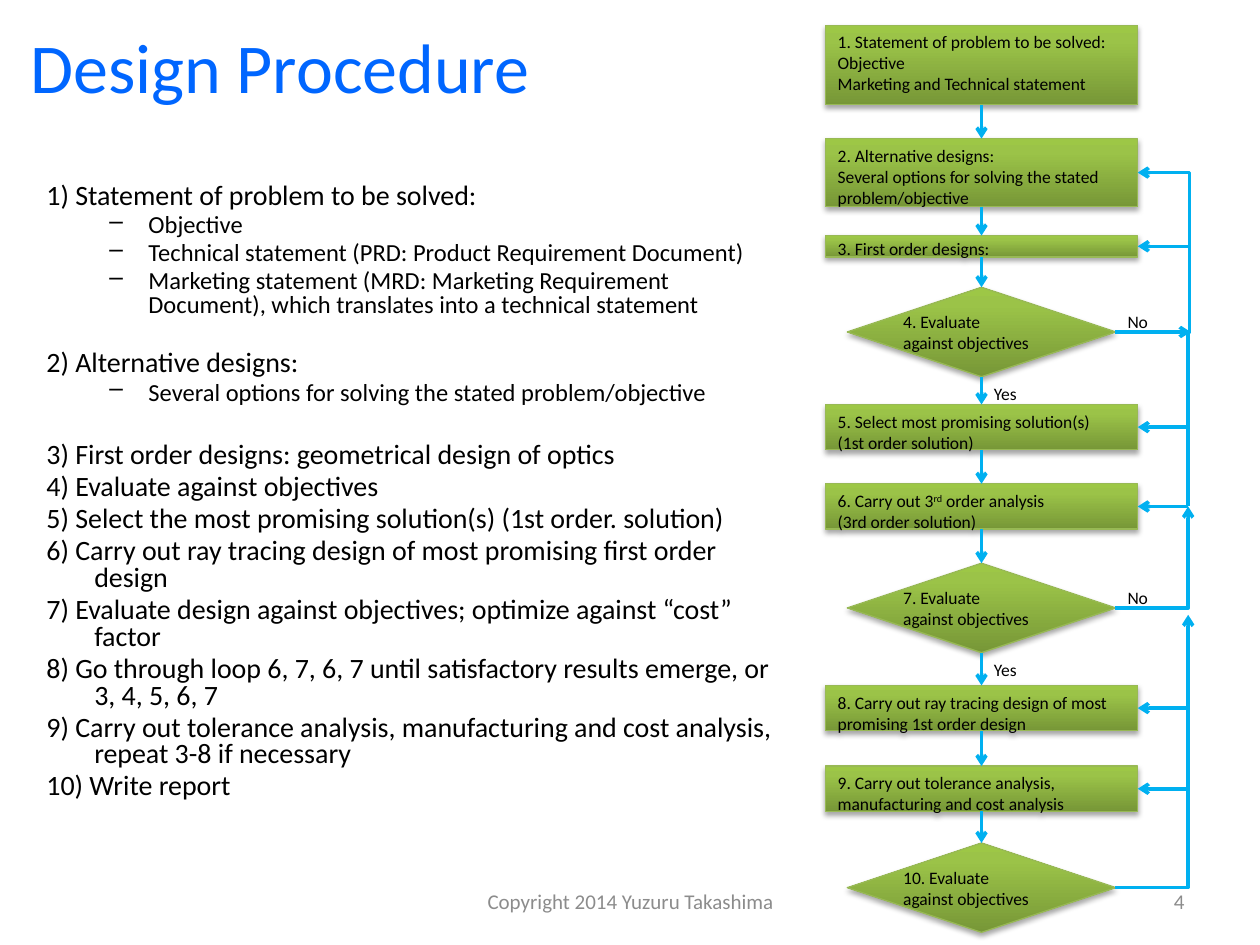
"""Build the Design Procedure slide: a numbered list beside its flowchart."""
from copy import deepcopy
from dataclasses import dataclass
from itertools import pairwise

from lxml.etree import SubElement
from pptx import Presentation
from pptx.dml.color import RGBColor
from pptx.enum.shapes import MSO_CONNECTOR, MSO_SHAPE
from pptx.enum.text import MSO_ANCHOR, PP_ALIGN
from pptx.oxml.ns import qn
from pptx.util import Inches, Pt

CENTER, BOX_W, DIAMOND_W = 7.79, 2.48, 2.13
BOX_RIGHT, DIAMOND_RIGHT, RAIL = 9.03, 8.85, 9.43
GRADIENT = ((0, "779737"), (0.8, "9BC348"), (1, "9DC746"))


@dataclass(frozen=True)
class Step:
    """One flowchart step, centred on the spine."""
    top: float
    height: float
    text: str
    shape: MSO_SHAPE = MSO_SHAPE.RECTANGLE
    spacing: float = 1.0

    @property
    def is_decision(self) -> bool:
        return self.shape == MSO_SHAPE.FLOWCHART_DECISION

    @property
    def middle(self) -> float:
        return self.top + self.height / 2

    @property
    def bottom(self) -> float:
        return self.top + self.height


@dataclass(frozen=True)
class Item:
    """One paragraph of the list."""
    text: str
    level: int = 0
    before: float = 2.9


PROCESS, DECISION = MSO_SHAPE.FLOWCHART_PROCESS, MSO_SHAPE.FLOWCHART_DECISION
STEPS = [
    Step(0.2, 0.63, "1. Statement of problem to be solved:\nObjective\nMarketing and Technical statement", PROCESS),
    Step(1.1, 0.54, "2. Alternative designs:\nSeveral options for solving the stated problem/objective", PROCESS),
    Step(1.87, 0.17, "3. First order designs:", PROCESS, 0.8),
    Step(2.28, 0.71, "4. Evaluate\nagainst objectives", DECISION),
    Step(3.21, 0.36, "5. Select most promising solution(s)\n(1st order solution)"),
    Step(3.84, 0.36, "6. Carry out 3^rd^ order analysis\n(3rd order solution)"),
    Step(4.47, 0.71, "7. Evaluate\nagainst objectives", DECISION),
    Step(5.44, 0.36, "8. Carry out ray tracing design of most promising 1st order design"),
    Step(6.08, 0.36, "9. Carry out tolerance analysis, manufacturing and cost analysis"),
    Step(6.69, 0.71, "10. Evaluate\nagainst objectives", DECISION),
]
ITEMS = [
    Item("1) Statement of problem to be solved:", before=0),
    Item("Objective", 1, 2.5),
    Item("Technical statement (PRD: Product Requirement Document)", 1, 2.5),
    Item("Marketing statement (MRD: Marketing Requirement Document), which translates into a technical statement", 1, 2.5),
    Item("2) Alternative designs:", before=19),
    Item("Several options for solving the stated problem/objective", 1, 2.5),
    Item("3) First order designs: geometrical design of optics", before=21.4),
    Item("4) Evaluate against objectives"),
    Item("5) Select the most promising solution(s) (1st order. solution)"),
    Item("6) Carry out ray tracing design of most promising first order design"),
    Item("7) Evaluate design against objectives; optimize against “cost” factor"),
    Item("8) Go through loop 6, 7, 6, 7 until satisfactory results emerge, or 3, 4, 5, 6, 7"),
    Item("9) Carry out tolerance analysis, manufacturing and cost analysis, repeat 3-8 if necessary"),
    Item("10) Write report"),
]


def rgb(value: str) -> RGBColor:
    """Turn a hex string into a colour."""
    return RGBColor.from_string(value)


def write(p, text: str, *, size: float = 10, color: str = "000000", align=PP_ALIGN.LEFT, spacing: float = 1.0):
    """Fill a paragraph, raising the parts between carets."""
    p.alignment, p.line_spacing = align, spacing
    for i, part in enumerate(text.split("^")):
        r = p.add_run()
        r.text = part
        r.font.name, r.font.size, r.font.color.rgb = "Calibri", Pt(size), rgb(color)
        if i % 2:
            r.font._element.set("baseline", "30000")


def fill_frame(tf, text: str, *, anchor=MSO_ANCHOR.TOP, wrap: bool = True, **fmt):
    """Write each line of text as a paragraph of a frame."""
    tf.word_wrap, tf.vertical_anchor = wrap, anchor
    for i, line in enumerate(text.split("\n")):
        write(tf.add_paragraph() if i else tf.paragraphs[0], line, **fmt)


def add_label(s, text: str, left: float, top: float, width: float, height: float, **fmt):
    """Add a text box."""
    sp = s.shapes.add_textbox(Inches(left), Inches(top), Inches(width), Inches(height))
    fill_frame(sp.text_frame, text, **fmt)


def add_step(s, step: Step):
    """Draw a shaded step with its text."""
    width = DIAMOND_W if step.is_decision else BOX_W
    sp = s.shapes.add_shape(step.shape, Inches(CENTER - width / 2), Inches(step.top), Inches(width), Inches(step.height))
    sp.fill.gradient()
    sp.fill.gradient_angle = 90
    sp_pr = sp._element.spPr
    stops = sp_pr.find(qn("a:gradFill")).find(qn("a:gsLst"))
    stops.append(deepcopy(stops[-1]))
    for stop, (position, color) in zip(sp.fill.gradient_stops, GRADIENT):
        stop.position, stop.color.rgb = position, rgb(color)
    sp.line.color.rgb, sp.line.width = rgb("98B955"), Pt(0.75)
    sp.shadow.inherit = False
    shadow = SubElement(sp_pr.find(qn("a:effectLst")), qn("a:outerShdw"), blurRad=str(Pt(3.1)),
                        dist=str(Pt(1.8)), dir="5400000", rotWithShape="0")
    SubElement(SubElement(shadow, qn("a:srgbClr"), val="000000"), qn("a:alpha"), val="35000")
    if step.is_decision:
        add_label(s, step.text, 7.07, step.top + 0.14, 1.43, 0.61)
    else:
        fill_frame(sp.text_frame, step.text, spacing=step.spacing)


def add_line(s, x1: float, y1: float, x2: float, y2: float, *, arrow: bool = True, bend: str = "", adj: int = 0):
    """Draw a straight or bent connector."""
    kind = MSO_CONNECTOR.ELBOW if bend else MSO_CONNECTOR.STRAIGHT
    cx = s.shapes.add_connector(kind, Inches(x1), Inches(y1), Inches(x2), Inches(y2))
    cx.line.color.rgb, cx.line.width = rgb("00B0F0"), Pt(2)
    sp_pr = cx._element.spPr
    if bend:
        geom = sp_pr.find(qn("a:prstGeom"))
        geom.set("prst", bend)
        if adj:
            SubElement(geom.find(qn("a:avLst")), qn("a:gd"), name="adj1", fmla=f"val {adj}")
    if arrow:
        SubElement(sp_pr.find(qn("a:ln")), qn("a:tailEnd"), type="arrow")
    SubElement(sp_pr, qn("a:effectLst"))


def add_list(s):
    """Write the numbered list with its dashed sub-items."""
    tf = s.shapes.add_textbox(Inches(0.27), Inches(1.41), Inches(6.1), Inches(5.46)).text_frame
    tf.word_wrap, tf.margin_right = True, Inches(0.15)
    for i, item in enumerate(ITEMS):
        p = tf.add_paragraph() if i else tf.paragraphs[0]
        margin, indent = ((0.38, -0.38), (0.81, -0.31))[item.level]
        p.level, p.space_before = item.level, Pt(item.before)
        p_pr = p._p.get_or_add_pPr()
        p_pr.set("marL", str(Inches(margin)))
        p_pr.set("indent", str(Inches(indent)))
        if item.level:
            SubElement(p_pr, qn("a:buChar"), char="–")
        write(p, item.text, size=14 if item.level else 16, spacing=0.8)


def add_flowchart(s):
    """Draw the steps, the spine arrows and the feedback loops."""
    for step in STEPS:
        add_step(s, step)
    for upper, lower in pairwise(STEPS):
        add_line(s, CENTER, upper.bottom, CENTER, lower.top)
    for step in STEPS[2:]:
        if not step.is_decision:
            add_line(s, RAIL, step.middle, BOX_RIGHT, step.middle)
    first, second, last = (step for step in STEPS if step.is_decision)
    add_line(s, DIAMOND_RIGHT, first.middle, BOX_RIGHT, STEPS[1].middle, bend="bentConnector3", adj=329200)
    add_line(s, DIAMOND_RIGHT, first.middle, 9.45, first.middle)
    add_line(s, RAIL, STEPS[5].middle, RAIL, 2.62, arrow=False)
    add_line(s, DIAMOND_RIGHT, second.middle, RAIL, STEPS[5].middle, bend="bentConnector2")
    add_line(s, DIAMOND_RIGHT, last.middle, RAIL, 4.88, bend="bentConnector2")
    for step in (first, second):
        add_label(s, "Yes", CENTER, step.bottom, 0.44, 0.27, wrap=False)
        add_label(s, "No", DIAMOND_RIGHT, step.top + 0.14, 0.38, 0.27, wrap=False)


def main():
    """Build and save the slide."""
    prs = Presentation()
    prs.slide_width, prs.slide_height = Inches(10), Inches(7.5)
    s = prs.slides.add_slide(prs.slide_layouts[5])
    title = s.shapes.title
    title.left, title.top, title.width, title.height = Inches(0.14), Inches(0.14), Inches(6.17), Inches(1.07)
    fill_frame(title.text_frame, "Design Procedure", size=40, color="0066FF")
    add_flowchart(s)
    add_list(s)
    footer = {"size": 12, "color": "8C8C8C", "anchor": MSO_ANCHOR.MIDDLE}
    add_label(s, "Copyright 2014 Yuzuru Takashima", 3.42, 6.95, 3.17, 0.4, align=PP_ALIGN.CENTER, **footer)
    add_label(s, "4", 7.17, 6.95, 2.33, 0.4, align=PP_ALIGN.RIGHT, **footer)
    prs.save("out.pptx")


if __name__ == "__main__":
    main()
